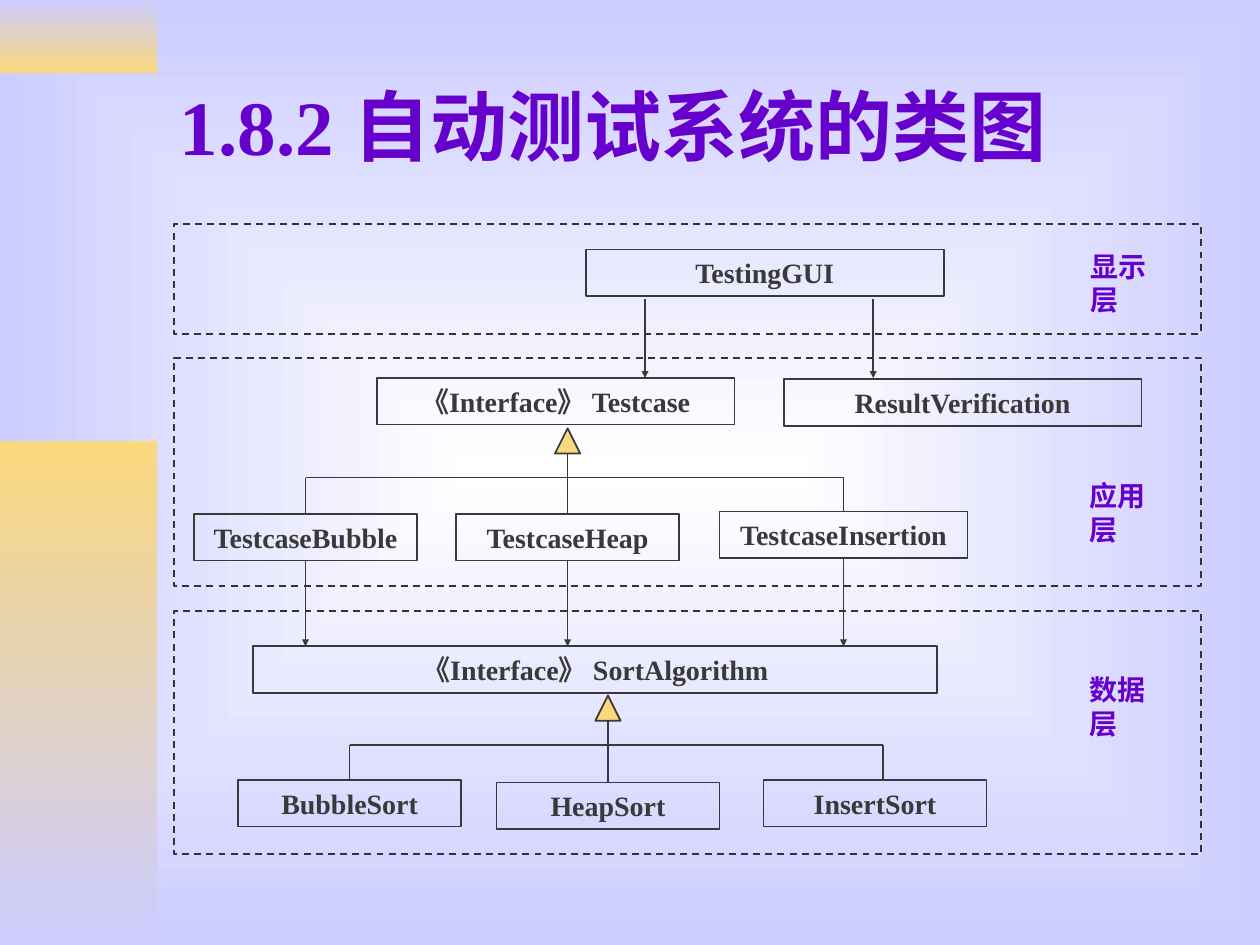
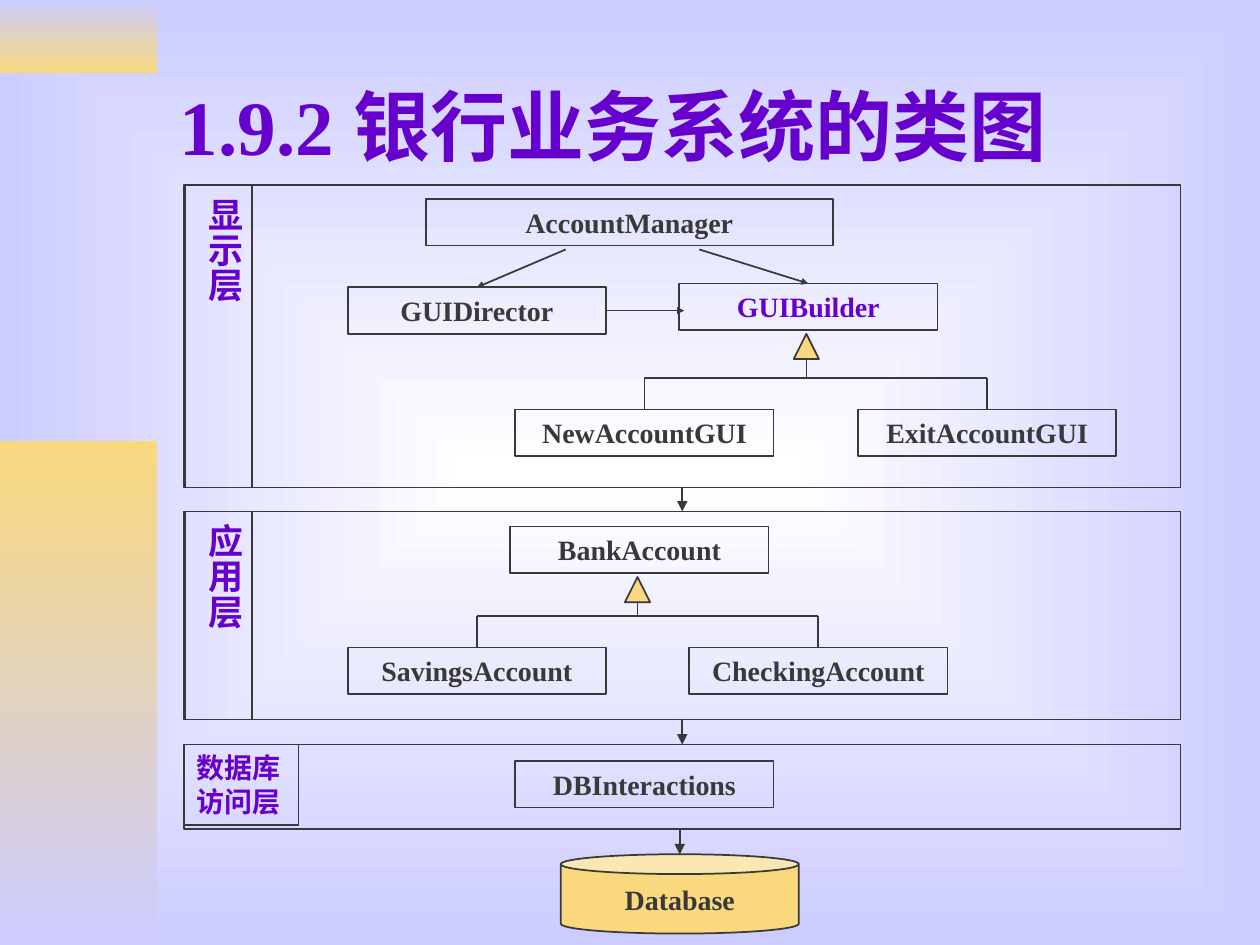
from lxml.etree import SubElement
from pptx import Presentation
from pptx.dml.color import RGBColor
from pptx.enum.dml import MSO_LINE
from pptx.enum.shapes import MSO_CONNECTOR, MSO_SHAPE
from pptx.enum.text import MSO_ANCHOR, PP_ALIGN
from pptx.oxml.ns import qn
from pptx.util import Inches, Pt

COLUMNS, ROWS = 100, 75  # square grid cells of a tenth of an inch
FONT = "Times New Roman"
PURPLE = RGBColor(0x66, 0x00, 0xCC)
INK = RGBColor(0x39, 0x39, 0x39)
DASH_INK = RGBColor(0x33, 0x33, 0x33)
GOLD = RGBColor(0xF9, 0xD8, 0x7E)
LAVENDER = RGBColor(0xCC, 0xCC, 0xFF)
WHITE = RGBColor(0xFF, 0xFF, 0xFF)

TOP, BOTTOM, RIGHT = 0, 2, 3  # connection sites of a rectangle
CLASS_HEIGHT = 3.7
TRIANGLE = 2
JOIN_TOLERANCE = 0.2


def grid(*cells):
    return [Inches(cell / 10) for cell in cells]


def write(box, text, size=16, color=INK, align=PP_ALIGN.LEFT,
          anchor=MSO_ANCHOR.TOP, wrap=True):
    frame = box.text_frame
    frame.word_wrap = wrap
    frame.vertical_anchor = anchor
    para = frame.paragraphs[0]
    para.alignment = align
    span = para.add_run()
    span.text = text
    span.font.name = FONT
    span.font.size = Pt(size)
    span.font.bold = True
    span.font.color.rgb = color


def add_figure(page, kind, place, fill=None, line=INK):
    figure = page.shapes.add_shape(kind, *grid(*place))
    figure.shadow.inherit = False
    if fill is None:
        figure.fill.background()
    else:
        figure.fill.solid()
        figure.fill.fore_color.rgb = fill
    figure.line.color.rgb = line
    figure.line.width = Pt(1)
    return figure


def add_class(page, name, left, top, width, color=INK):
    box = add_figure(page, MSO_SHAPE.RECTANGLE, (left, top, width, CLASS_HEIGHT))
    write(box, name, color=color, align=PP_ALIGN.CENTER)
    return box


def add_label(page, text, left, top):
    label = page.shapes.add_textbox(*grid(left, top, 8.6, CLASS_HEIGHT))
    write(label, text, color=PURPLE, wrap=False)


def add_line(page, start, end, head=None):
    """Each end is a grid point (x, y) or a pair (box, site); head is an arrow size."""
    joined = [not isinstance(place[0], (int, float)) for place in (start, end)]
    points = [(0, 0) if join else place for join, place in zip(joined, (start, end))]
    line = page.shapes.add_connector(MSO_CONNECTOR.STRAIGHT, *grid(*points[0], *points[1]))
    if joined[0]:
        line.begin_connect(*start)
    if joined[1]:
        line.end_connect(*end)
    line.line.color.rgb = INK
    line.line.width = Pt(1)
    if head:
        SubElement(line.line._get_or_add_ln(), qn("a:tailEnd"),
                   type="triangle", w=head, len=head)
    SubElement(line.element.spPr, qn("a:effectLst"))


def center(box):
    return (box.left + box.width / 2) / Inches(0.1)


def add_inheritance(page, x, top, bar, children, stem_end=None):
    """Triangle under a parent, with a bar and drops to (child, x) pairs."""
    add_figure(page, MSO_SHAPE.ISOSCELES_TRIANGLE,
               (x - TRIANGLE / 2, top, TRIANGLE, TRIANGLE), GOLD)
    add_line(page, (x, top + TRIANGLE), stem_end or (x, bar))
    drops = []
    for child, drop in children:
        if abs(center(child) - drop) < JOIN_TOLERANCE:
            drop = center(child)
            end = (child, TOP)
        else:
            end = (drop, child.top / Inches(0.1))
        add_line(page, (drop, bar), end)
        drops.append(drop)
    add_line(page, (min(drops), bar), (max(drops), bar))


def set_gradient(fill, first, last):
    fill.gradient()
    for stop, color, position in zip(fill.gradient_stops, (first, last), (0, 1)):
        stop.color.rgb = color
        stop.position = position


def set_background(page):
    """Rectangular gradient that spreads from the middle of the slide."""
    set_gradient(page.background.fill, WHITE, LAVENDER)
    gradient = page.element.find(".//" + qn("a:gradFill"))
    gradient.remove(gradient.find(qn("a:lin")))
    spread = SubElement(gradient, qn("a:path"), {"path": "rect"})
    SubElement(spread, qn("a:fillToRect"), l="50000", t="50000", r="50000", b="50000")


def add_band(page, top, height, first, last):
    band = page.shapes.add_shape(MSO_SHAPE.RECTANGLE, *grid(0, top, 12.5, height))
    band.shadow.inherit = False
    band.line.fill.background()
    set_gradient(band.fill, first, last)
    band.fill.gradient_angle = 270


def add_page(deck, title):
    page = deck.slides.add_slide(deck.slide_layouts[6])
    set_background(page)
    add_band(page, 0, 5.8, LAVENDER, GOLD)
    add_band(page, 35, 40, GOLD, LAVENDER)
    box = page.shapes.add_textbox(*grid(13.3, 3.3, 85, 13.2))
    write(box, title, size=44, color=PURPLE, anchor=MSO_ANCHOR.MIDDLE)
    return page


def build_testing_page(deck):
    page = add_page(deck, "1.8.2 自动测试系统的类图")
    for top, height in ((17.8, 8.7), (28.4, 18.1), (48.5, 19.3)):
        layer = add_figure(page, MSO_SHAPE.RECTANGLE, (13.8, top, 81.5, height),
                           line=DASH_INK)
        layer.line.dash_style = MSO_LINE.DASH
    for text, left, top in (("显示层", 85.6, 19.3), ("应用层", 85.5, 37.5),
                            ("数据层", 85.5, 52.9)):
        add_label(page, text, left, top)

    add_class(page, "TestingGUI", 46.5, 19.8, 28.4)
    add_class(page, "《Interface》 Testcase", 29.9, 30, 28.4)
    add_class(page, "ResultVerification", 62.2, 30.1, 28.4)
    for x in (51.2, 69.3):
        add_line(page, (x, 23.7), (x, 30), "sm")

    bubble = add_class(page, "TestcaseBubble", 15.4, 40.8, 17.7)
    heap = add_class(page, "TestcaseHeap", 36.2, 40.8, 17.7)
    insertion = add_class(page, "TestcaseInsertion", 57.1, 40.6, 19.7)
    add_inheritance(page, center(heap), 34, 37.9,
                    ((bubble, 24.4), (insertion, 66.9)), (heap, TOP))

    add_class(page, "《Interface》 SortAlgorithm", 20.1, 51.3, 54.3)
    for testcase in (bubble, heap, insertion):
        add_line(page, (testcase, BOTTOM), (center(testcase), 51.3), "sm")

    bubble_sort = add_class(page, "BubbleSort", 18.9, 61.9, 17.7)
    heap_sort = add_class(page, "HeapSort", 39.4, 62.1, 17.7)
    insert_sort = add_class(page, "InsertSort", 60.6, 61.9, 17.7)
    add_inheritance(page, center(heap_sort), 55.2, 59.1,
                    ((bubble_sort, 27.6), (insert_sort, 70.1)), (heap_sort, TOP))


def add_bank_layers(page):
    layers = [add_figure(page, MSO_SHAPE.RECTANGLE, (14.6, top, 79.1, height))
              for top, height in ((14.7, 24), (40.6, 16.5), (59.1, 6.7))]
    for upper, lower in zip(layers, layers[1:]):
        add_line(page, (upper, BOTTOM), (lower, TOP), "med")
    for text, top, height in (("显示层", 14.7, 24), ("应用层", 40.6, 16.5)):
        strip = add_figure(page, MSO_SHAPE.RECTANGLE, (14.7, top, 5.3, height))
        write(strip, text, size=20, color=PURPLE, align=PP_ALIGN.CENTER)
        frame = strip.text_frame
        frame.margin_left = frame.margin_right = Inches(0.05)
        frame.margin_top = frame.margin_bottom = Inches(0.1)
        strip.element.txBody.find(qn("a:bodyPr")).set("vert", "eaVert")
    corner = add_figure(page, MSO_SHAPE.RECTANGLE, (14.6, 59.1, 9.1, 6.4))
    write(corner, "数据库访问层", color=PURPLE)


def build_bank_page(deck):
    page = add_page(deck, "1.9.2 银行业务系统的类图")
    add_bank_layers(page)

    width = 20.5
    add_class(page, "AccountManager", 33.8, 15.8, 32.3)
    director = add_class(page, "GUIDirector", 27.6, 22.8, width)
    builder = add_class(page, "GUIBuilder", 53.9, 22.5, width, PURPLE)
    add_line(page, (44.9, 19.8), (director, TOP), "sm")
    add_line(page, (55.5, 19.8), (builder, TOP), "sm")
    add_line(page, (director, RIGHT), (54.3, 24.65), "sm")

    new_account = add_class(page, "NewAccountGUI", 40.9, 32.5, width)
    exit_account = add_class(page, "ExitAccountGUI", 68.1, 32.5, width)
    add_inheritance(page, 64, 26.5, 30, ((new_account, 51.2), (exit_account, 78.4)))

    add_class(page, "BankAccount", 40.5, 41.8, width)
    savings = add_class(page, "SavingsAccount", 27.6, 51.4, width)
    checking = add_class(page, "CheckingAccount", 54.7, 51.4, width)
    add_inheritance(page, 50.6, 45.8, 48.9, ((savings, 37.8), (checking, 65)))

    add_class(page, "DBInteractions", 40.9, 60.4, width)
    database = add_figure(page, MSO_SHAPE.CAN, (44.5, 67.8, 18.9, 6.3), GOLD)
    write(database, "Database", align=PP_ALIGN.CENTER, anchor=MSO_ANCHOR.MIDDLE, wrap=False)
    add_line(page, (center(database), 65.8), (center(database), 67.8), "med")


def main():
    deck = Presentation()
    deck.slide_width, deck.slide_height = grid(COLUMNS, ROWS)
    build_testing_page(deck)
    build_bank_page(deck)
    deck.save("out.pptx")


if __name__ == "__main__":
    main()
